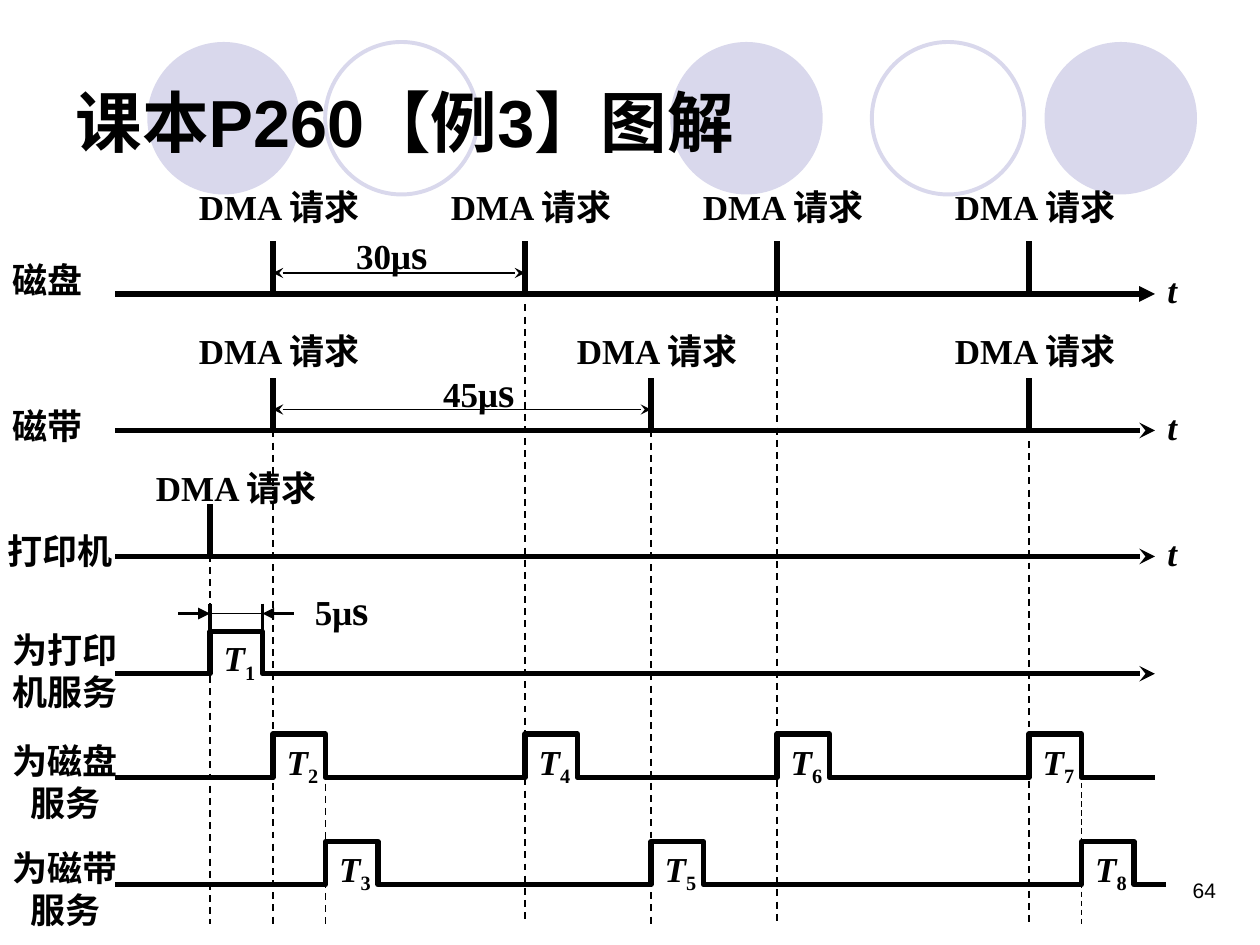
from lxml.etree import SubElement
from pptx import Presentation
from pptx.dml.color import RGBColor
from pptx.enum.dml import MSO_LINE
from pptx.enum.shapes import MSO_CONNECTOR, MSO_SHAPE
from pptx.enum.text import MSO_ANCHOR, MSO_AUTO_SIZE, PP_ALIGN
from pptx.oxml.ns import qn
from pptx.util import Pt

COLORS = {"ink": "000000", "circle": "D9D8EC"}
TITLE = "课本P260【例3】图解"
PAGE = "64"
REQUEST = "DMA 请求"

CIRCLES = [(84.2, True), (185.8, False), (383, True), (498.2, False), (596.9, True)]
CIRCLE_TOP, CIRCLE_SIZE = 24, 87.1

AXIS_LEFT, AXIS_RIGHT = 66, 660
TICK_HEIGHT, PULSE_WIDTH = 30, 30
DEVICES = [
    {"name": "磁盘", "name_at": (0, 144), "axis": 168, "head": "triangle",
     "requests": [156, 300, 444, 588], "request_top": 102.4, "request_shift": 49.5,
     "period": ("30μ", 196.5, 126.7)},
    {"name": "磁带", "name_at": (0, 227.5), "axis": 246, "head": "stealth",
     "requests": [156, 372, 588], "request_top": 185, "request_shift": 49.5,
     "period": ("45μ", 246.2, 205.2)},
    {"name": "打印机", "name_at": (-3, 299), "axis": 318, "head": "stealth",
     "requests": [120], "request_top": 263, "request_shift": 38, "period": None},
]
SERVICES = [
    {"name": ["为打印", "机服务"], "top": 355.5, "base": 385, "height": 24,
     "right": 660, "head": "stealth", "pulses": [(120, "1")]},
    {"name": ["为磁盘", "服务"], "top": 419, "base": 444.4, "height": 25,
     "right": 660, "head": None,
     "pulses": [(156, "2"), (300, "4"), (444, "6"), (588, "7")]},
    {"name": ["为磁带", "服务"], "top": 480, "base": 505.5, "height": 24.5,
     "right": 666, "head": None, "pulses": [(186, "3"), (372, "5"), (618, "8")]},
]
GUIDES = [(156, 246, 1), (300, 174, 1), (444, 168, 1), (588, 252, 1),
          (372, 246, 1), (120, 317, 1), (186, 420, 1), (618, 427, 0.75)]
GUIDE_BOTTOM = 528
WIDTH_MARK_Y, WIDTH_MARK_REACH = 350.6, 18

LABEL_FONT = {"name": "Times New Roman", "size": Pt(20), "bold": True}
TITLE_FONT = {"name": "Arial", "size": Pt(38), "bold": True}
PAGE_FONT = {"name": "Arial", "size": Pt(12)}
SYMBOL = {"italic": True}
SECOND = {"size": Pt(24)}
LABEL_FRAME = {"word_wrap": False, "auto_size": MSO_AUTO_SIZE.SHAPE_TO_FIT_TEXT}
PAGE_FRAME = {"word_wrap": True, "auto_size": MSO_AUTO_SIZE.NONE}
TITLE_FRAME = PAGE_FRAME | {"vertical_anchor": MSO_ANCHOR.MIDDLE}

presentation = Presentation()
presentation.slide_width, presentation.slide_height = Pt(720), Pt(540)
slide = presentation.slides.add_slide(presentation.slide_layouts[5])
shapes = slide.shapes


def apply(target, values):
    for key, value in values.items():
        setattr(target, key, value)


def rgb(color):
    return RGBColor.from_string(COLORS[color])


def style_font(font, values):
    apply(font, values)
    font.color.rgb = rgb("ink")


def style_line(line, width, color="ink", head=None, tail=None):
    line.color.rgb = rgb(color)
    line.width = Pt(width)
    for tag, kind in (("a:headEnd", head), ("a:tailEnd", tail)):
        if kind:
            SubElement(line._get_or_add_ln(), qn(tag), type=kind)


def draw_line(x1, y1, x2, y2, width=3, dashed=False, **ends):
    connector = shapes.add_connector(MSO_CONNECTOR.STRAIGHT, Pt(x1), Pt(y1), Pt(x2), Pt(y2))
    if dashed:
        connector.line.dash_style = MSO_LINE.DASH
    style_line(connector.line, width, **ends)
    SubElement(connector._element.spPr, qn("a:effectLst"))


def write(left, top, width, height, paragraphs, align=PP_ALIGN.LEFT,
          base=LABEL_FONT, layout=LABEL_FRAME):
    frame = shapes.add_textbox(Pt(left), Pt(top), Pt(width), Pt(height)).text_frame
    apply(frame, layout)
    for index, runs in enumerate(paragraphs):
        paragraph = frame.paragraphs[0] if index == 0 else frame.add_paragraph()
        paragraph.alignment = align
        for text, extra in runs:
            run = paragraph.add_run()
            run.text = text
            style_font(run.font, base | extra)
            if extra.get("italic") is False:
                run.font._element.set("baseline", "-25000")


def write_duration(text, left, top, width):
    write(left, top, width, 36, [[(text, {}), ("s", SECOND)]])


def draw_waveform(service):
    base, crest = service["base"], service["base"] - service["height"]
    points = [(AXIS_LEFT, base)]
    for start, _ in service["pulses"]:
        end = start + PULSE_WIDTH
        points += [(start, base), (start, crest), (end, crest), (end, base)]
    points.append((service["right"], base))
    corners = [(Pt(x), Pt(y)) for x, y in points]
    builder = shapes.build_freeform(*corners[0])
    builder.add_line_segments(corners[1:], close=False)
    waveform = builder.convert_to_shape()
    waveform.shadow.inherit = False
    waveform.fill.background()
    style_line(waveform.line, 3, tail=service["head"])


for left, filled in CIRCLES:
    circle = shapes.add_shape(MSO_SHAPE.OVAL, Pt(left), Pt(CIRCLE_TOP),
                              Pt(CIRCLE_SIZE), Pt(CIRCLE_SIZE))
    circle.shadow.inherit = False
    if filled:
        circle.fill.solid()
        circle.fill.fore_color.rgb = rgb("circle")
        circle.line.fill.background()
    else:
        circle.fill.background()
        style_line(circle.line, 2.25, "circle")

for x, top, width in GUIDES:
    draw_line(x, top, x, GUIDE_BOTTOM, width, dashed=True)

for service in SERVICES:
    draw_waveform(service)
    write(0, service["top"], 74.4, 55.4, [[(line, {})] for line in service["name"]],
          PP_ALIGN.CENTER)
    for start, number in service["pulses"]:
        write(start + 0.7, service["base"] - 25, 32.4, 34.6,
              [[("T", SYMBOL), (number, {"italic": False})]])

mark_left = SERVICES[0]["pulses"][0][0]
mark_right = mark_left + PULSE_WIDTH
for x, outside in ((mark_left, mark_left - WIDTH_MARK_REACH),
                   (mark_right, mark_right + WIDTH_MARK_REACH)):
    draw_line(x, 345, x, 363, 2.25)
    draw_line(outside, WIDTH_MARK_Y, x, WIDTH_MARK_Y, 2.25, tail="triangle")
draw_line(mark_left, WIDTH_MARK_Y, mark_right, WIDTH_MARK_Y, 0.75)
write_duration("5μ", 172.8, 329.8, 46)

for device in DEVICES:
    axis, requests = device["axis"], device["requests"]
    draw_line(AXIS_LEFT, axis, AXIS_RIGHT, axis, tail=device["head"])
    write(*device["name_at"], 14.4 + 20 * len(device["name"]), 31.7, [[(device["name"], {})]])
    write(AXIS_RIGHT, axis - 18, 19.4, 31.7, [[("t", SYMBOL)]])
    for x in requests:
        draw_line(x, axis - TICK_HEIGHT, x, axis)
        write(x - device["request_shift"], device["request_top"], 112.4, 31.7,
              [[(REQUEST, {})]])
    if device["period"]:
        draw_line(requests[0], axis - 12, requests[1], axis - 12, 1,
                  head="stealth", tail="stealth")
        write_duration(*device["period"], 56)

write(534, 498.2, 168, 36, [[(PAGE, {})]], PP_ALIGN.RIGHT, PAGE_FONT, PAGE_FRAME)

title = shapes.title
apply(title, {"left": Pt(36), "top": Pt(24), "width": Pt(648), "height": Pt(90)})
title.text_frame.text = TITLE
apply(title.text_frame, TITLE_FRAME)
heading = title.text_frame.paragraphs[0]
heading.alignment = PP_ALIGN.LEFT
style_font(heading.runs[0].font, TITLE_FONT)
title._element.getparent().append(title._element)

presentation.save("out.pptx")
